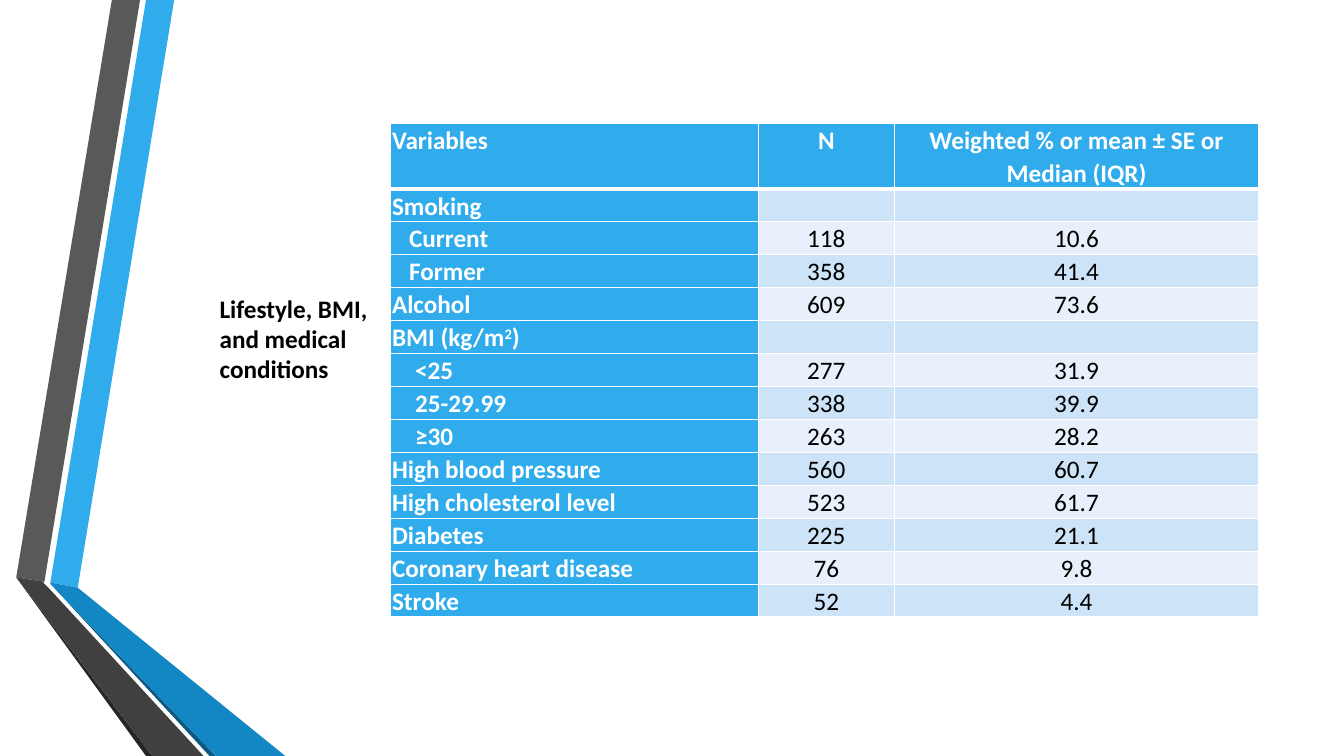
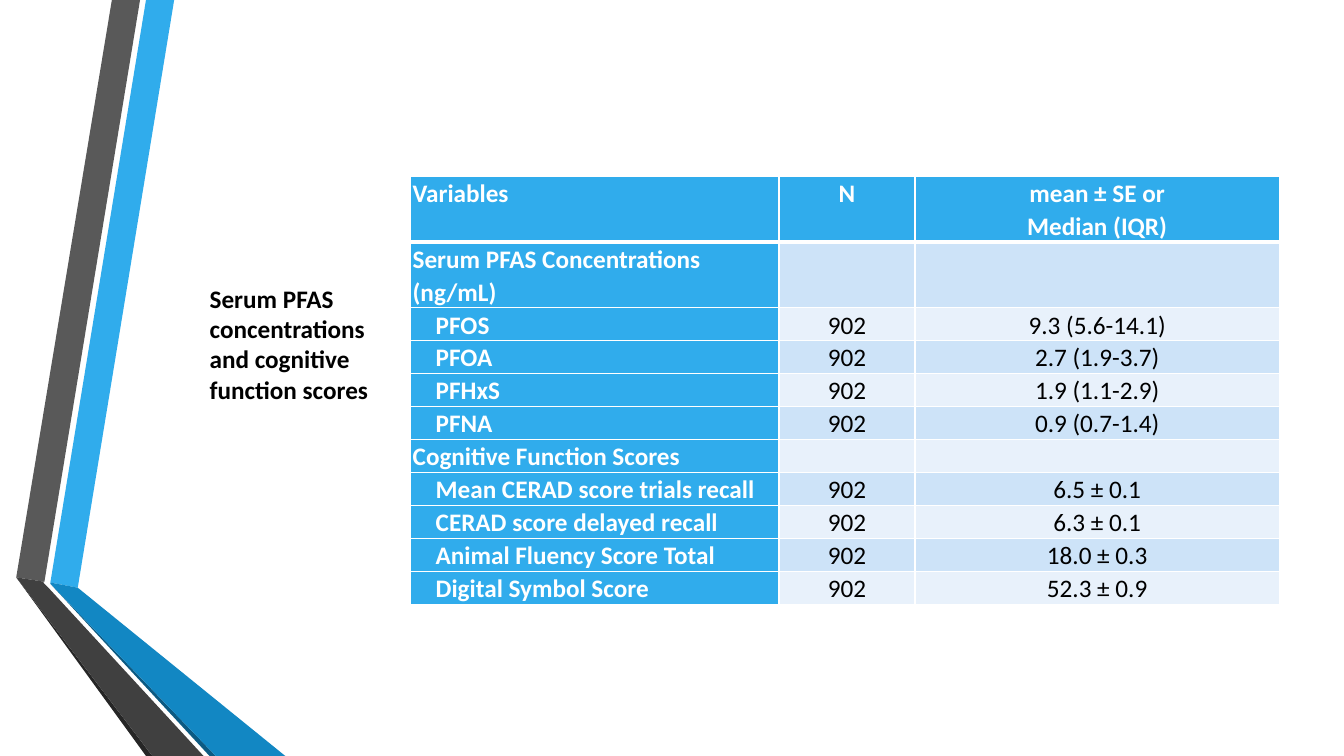
import lxml.etree
import pptx
import pptx.dml.color
import pptx.enum.text
import pptx.oxml.ns
import pptx.util

Cm = pptx.util.Cm
Pt = pptx.util.Pt
qn = pptx.oxml.ns.qn
ALIGN = pptx.enum.text.PP_ALIGN

FONT = "Calibri"
COLORS = {
    "blue": "30ACEC",
    "mid_blue": "1287C3",
    "deep_blue": "0C5A82",
    "gray": "595959",
    "dark_gray": "404040",
    "near_black": "262626",
    "band_dark": "CDE3F8",
    "band_light": "E8F1FB",
    "white": "FFFFFF",
    "black": "000000",
}

RIBBONS = [
    ("blue", [(1.27, 14.68), (1.96, 14.81), (4.39, 0), (3.68, 0)]),
    ("gray", [(3.53, 0), (2.82, 0), (0.41, 14.55), (1.12, 14.66)]),
    ("near_black", [(0.41, 14.55), (3.68, 19.05), (3.84, 19.05)]),
    ("deep_blue", [(1.27, 14.71), (5.28, 19.05), (5.44, 19.05)]),
    ("mid_blue", [(1.27, 14.71), (5.44, 19.05), (7.19, 19.05),
                  (1.96, 14.81), (1.27, 14.68)]),
    ("dark_gray", [(5.13, 19.05), (1.22, 14.81), (1.09, 14.68), (1.12, 14.66),
                   (0.41, 14.55), (3.84, 19.05)]),
]

COL_WIDTHS = [9.28, 3.43, 9.18]
ROW_HEIGHT = 0.83
HEADER_HEIGHT = 1.63
INSET = 0.05
SMALL_INDENT = 0.43
INDENT = 0.58

LIFESTYLE_ROWS = [
    ("Variables", "N", "Weighted % or mean ± SE or\nMedian (IQR)", 0),
    ("Smoking", "", "", 0),
    ("Current", "118", "10.6", SMALL_INDENT),
    ("Former", "358", "41.4", SMALL_INDENT),
    ("Alcohol", "609", "73.6", 0),
    ("BMI (kg/m^2^)", "", "", 0),
    ("<25", "277", "31.9", INDENT),
    ("25-29.99", "338", "39.9", INDENT),
    ("≥30", "263", "28.2", INDENT),
    ("High blood pressure", "560", "60.7", 0),
    ("High cholesterol level", "523", "61.7", 0),
    ("Diabetes", "225", "21.1", 0),
    ("Coronary heart disease", "76", "9.8", 0),
    ("Stroke", "52", "4.4", 0),
]

SERUM_ROWS = [
    ("Variables", "N", "mean ± SE or\nMedian (IQR)", 0),
    ("Serum PFAS Concentrations (ng/mL)", "", "", 0),
    ("PFOS", "902", "9.3 (5.6-14.1)", INDENT),
    ("PFOA", "902", "2.7 (1.9-3.7)", INDENT),
    ("PFHxS", "902", "1.9 (1.1-2.9)", INDENT),
    ("PFNA", "902", "0.9 (0.7-1.4)", INDENT),
    ("Cognitive Function Scores", "", "", 0),
    ("Mean CERAD score trials recall", "902", "6.5 ± 0.1", INDENT),
    ("CERAD score delayed recall", "902", "6.3 ± 0.1", INDENT),
    ("Animal Fluency Score Total", "902", "18.0 ± 0.3", INDENT),
    ("Digital Symbol Score", "902", "52.3 ± 0.9", INDENT),
]


def rgb(name):
    return pptx.dml.color.RGBColor.from_string(COLORS[name])


def write_text(tf, text, size=18, color="black", bold=False,
               align=ALIGN.LEFT, spacing=1.0):
    for i, line in enumerate(text.split("\n")):
        p = tf.add_paragraph() if i else tf.paragraphs[0]
        p.alignment = align
        p.line_spacing = spacing
        p.font.size = Pt(size)
        for j, part in enumerate(line.split("^")):
            if not part:
                continue
            r = p.add_run()
            r.text = part
            r.font.name = FONT
            r.font.size = Pt(size)
            r.font.bold = bold
            r.font.color.rgb = rgb(color)
            if j % 2:
                r.font._element.set("baseline", "30000")


def add_ribbons(s, layout):
    group = s.shapes.add_group_shape()
    for color, points in RIBBONS:
        start, *rest = [(Cm(x), Cm(y)) for x, y in points]
        builder = group.shapes.build_freeform(*start)
        builder.add_line_segments(rest, close=True)
        sp = builder.convert_to_shape()
        sp.shadow.inherit = False
        sp.fill.solid()
        sp.fill.fore_color.rgb = rgb(color)
        sp.line.fill.background()
    for i, props in enumerate(group.element.iter(qn("p:cNvPr")), start=100):
        props.set("id", str(i))
    layout.shapes.element.append(group.element)


def add_title(s, text, left, top, width, height):
    sp = s.shapes.title
    sp.left, sp.top, sp.width, sp.height = Cm(left), Cm(top), Cm(width), Cm(height)
    tf = sp.text_frame
    tf.word_wrap = True
    tf.auto_size = pptx.enum.text.MSO_AUTO_SIZE.NONE
    tf.vertical_anchor = pptx.enum.text.MSO_ANCHOR.TOP
    write_text(tf, text, bold=True)


def set_borders(cell, top, bottom):
    tc_pr = cell._tc.get_or_add_tcPr()
    for side, width in (("L", 1), ("R", 1), ("T", top), ("B", bottom)):
        ln = lxml.etree.SubElement(tc_pr, qn(f"a:ln{side}"), w=str(Pt(width)))
        fill = lxml.etree.SubElement(ln, qn("a:solidFill"))
        lxml.etree.SubElement(fill, qn("a:srgbClr"), val=COLORS["white"])


def format_cell(cell, text, row, col, indent):
    heading = row == 0 or col == 0
    set_borders(cell, 3 if row == 1 else 1, 3 if row == 0 else 1)
    cell.fill.solid()
    band = "band_dark" if row % 2 else "band_light"
    cell.fill.fore_color.rgb = rgb("blue" if heading else band)
    cell.margin_left = Cm(INSET + (0 if col else indent))
    cell.margin_right = Cm(INSET)
    cell.margin_top = cell.margin_bottom = 0
    write_text(cell.text_frame, text, color="white" if heading else "black",
               bold=heading, align=ALIGN.CENTER if col else ALIGN.LEFT,
               spacing=1.07)


def add_data_table(s, rows, left, top):
    height = HEADER_HEIGHT + ROW_HEIGHT * (len(rows) - 1)
    table = s.shapes.add_table(len(rows), len(COL_WIDTHS), Cm(left), Cm(top),
                               Cm(sum(COL_WIDTHS)), Cm(height)).table
    for column, width in zip(table.columns, COL_WIDTHS):
        column.width = Cm(width)
    for i, (*texts, indent) in enumerate(rows):
        table.rows[i].height = Cm(ROW_HEIGHT if i else HEADER_HEIGHT)
        for j, text in enumerate(texts):
            format_cell(table.cell(i, j), text, i, j, indent)


def main():
    prs = pptx.Presentation()
    prs.slide_width, prs.slide_height = Cm(33.87), Cm(19.05)
    layout = prs.slide_layouts[5]

    s = prs.slides.add_slide(layout)
    add_ribbons(s, layout)
    add_title(s, "Lifestyle, BMI, and medical conditions", 5.28, 7.26, 4.45, 3.33)
    add_data_table(s, LIFESTYLE_ROWS, 9.83, 3.1)

    s = prs.slides.add_slide(layout)
    add_title(s, "Serum PFAS concentrations and cognitive function scores",
              5.03, 7.01, 5.31, 3.33)
    add_data_table(s, SERUM_ROWS, 10.35, 4.44)

    prs.save("out.pptx")


if __name__ == "__main__":
    main()
